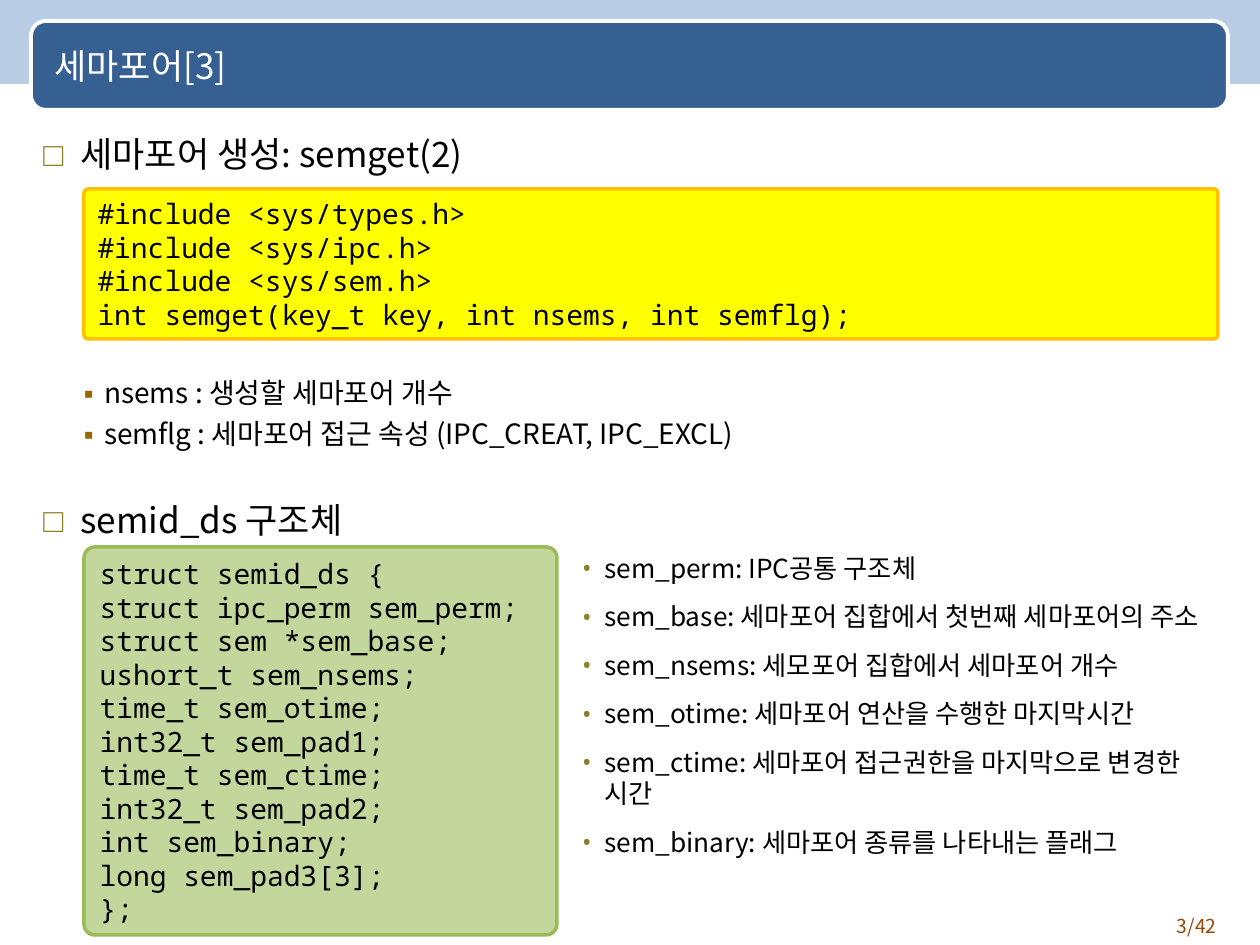
from dataclasses import dataclass
from typing import Optional

import pptx
import pptx.dml.color
import pptx.enum.shapes
import pptx.enum.text
import pptx.oxml.ns
import pptx.util
from lxml import etree

RGBColor = pptx.dml.color.RGBColor
ALIGN = pptx.enum.text.PP_ALIGN
ANCHOR = pptx.enum.text.MSO_ANCHOR
SHAPE = pptx.enum.shapes.MSO_SHAPE

EMU_PER_PX = 914400 / 126
SANS = "Noto Sans CJK KR"
MONO = "Noto Sans Mono"

WHITE = RGBColor(0xFF, 0xFF, 0xFF)
BLACK = RGBColor(0x00, 0x00, 0x00)
BAND_BLUE = RGBColor(0xB9, 0xCD, 0xE5)
TITLE_BLUE = RGBColor(0x37, 0x60, 0x92)
PAGE_BROWN = RGBColor(0x98, 0x48, 0x07)
OLIVE = RGBColor(0x88, 0x81, 0x28)
OCHRE = RGBColor(0x99, 0x66, 0x00)
YELLOW = RGBColor(0xFF, 0xFF, 0x00)
AMBER = RGBColor(0xFF, 0xC0, 0x00)
LIGHT_GREEN = RGBColor(0xC3, 0xD6, 0x9B)
GREEN = RGBColor(0x9B, 0xBB, 0x59)


@dataclass(frozen=True)
class Box:
    x: int
    y: int
    w: int
    h: int

    def emu(self) -> list[int]:
        return [px(v) for v in (self.x, self.y, self.w, self.h)]


@dataclass(frozen=True)
class Bullet:
    char: str
    color: RGBColor
    percent: int
    left: int
    hang: int


@dataclass(frozen=True)
class Level:
    size: int
    line: float
    bullet: Bullet
    before: float
    after: float = 0


@dataclass(frozen=True)
class Item:
    text: str
    level: Level
    before: Optional[float] = None


@dataclass(frozen=True)
class CodePanel:
    box: Box
    fill: RGBColor
    border: RGBColor
    align: ALIGN
    code: str


HEADING = Level(20, 26, Bullet("□", OLIVE, 95, 37, 37), before=5, after=6)
DETAIL = Level(16, 19.5, Bullet("▪", OCHRE, 100, 61, 24), before=4)
MEMBER = Level(15, 18, Bullet("•", OLIVE, 95, 25, 25), before=3.7, after=6)

BODY = [
    Item("세마포어 생성: semget(2)", HEADING),
    Item("nsems : 생성할 세마포어 개수", DETAIL, before=108.5),
    Item("semflg : 세마포어 접근 속성 (IPC_CREAT, IPC_EXCL)", DETAIL),
    Item("semid_ds 구조체", HEADING, before=25.5),
]
MEMBERS = [
    Item(text, MEMBER)
    for text in (
        "sem_perm: IPC공통 구조체",
        "sem_base: 세마포어 집합에서 첫번째 세마포어의 주소",
        "sem_nsems: 세모포어 집합에서 세마포어 개수",
        "sem_otime: 세마포어 연산을 수행한 마지막시간",
        "sem_ctime: 세마포어 접근권한을 마지막으로 변경한 시간",
        "sem_binary: 세마포어 종류를 나타내는 플래그",
    )
]
CODE_PANELS = [
    CodePanel(Box(84, 189, 1134, 150), YELLOW, AMBER, ALIGN.JUSTIFY, """\
#include <sys/types.h>
#include <sys/ipc.h>
#include <sys/sem.h>
int semget(key_t key, int nsems, int semflg);"""),
    CodePanel(Box(84, 547, 473, 388), LIGHT_GREEN, GREEN, ALIGN.LEFT, """\
struct semid_ds {
struct ipc_perm sem_perm;
struct sem *sem_base;
ushort_t sem_nsems;
time_t sem_otime;
int32_t sem_pad1;
time_t sem_ctime;
int32_t sem_pad2;
int sem_binary;
long sem_pad3[3];
};"""),
]


def px(n: int) -> int:
    return round(n * EMU_PER_PX)


def add_panel(slide, kind, box: Box, fill: RGBColor, border: Optional[RGBColor] = None,
              border_pt: float = 2, radius: Optional[float] = None):
    s = slide.shapes.add_shape(kind, *box.emu())
    s.shadow.inherit = False
    s.fill.solid()
    s.fill.fore_color.rgb = fill
    if border is None:
        s.line.fill.background()
    else:
        s.line.color.rgb = border
        s.line.width = pptx.util.Pt(border_pt)
    if radius is not None:
        s.adjustments[0] = radius
    return s


def add_text_box(slide, box: Box, anchor=ANCHOR.TOP):
    tf = slide.shapes.add_textbox(*box.emu()).text_frame
    tf.word_wrap = True
    tf.vertical_anchor = anchor
    return tf


def set_bullet(p, bullet: Bullet) -> None:
    qn = pptx.oxml.ns.qn
    pPr = p._p.get_or_add_pPr()
    pPr.set("marL", str(px(bullet.left)))
    pPr.set("indent", str(-px(bullet.hang)))
    color = etree.SubElement(pPr, qn("a:buClr"))
    etree.SubElement(color, qn("a:srgbClr"), val=str(bullet.color))
    etree.SubElement(pPr, qn("a:buSzPct"), val=str(bullet.percent * 1000))
    etree.SubElement(pPr, qn("a:buFont"), typeface=MONO)
    etree.SubElement(pPr, qn("a:buChar"), char=bullet.char)


def write(tf, text: str, *, size: float, color: RGBColor = BLACK, font: str = SANS,
          align=ALIGN.LEFT, line: Optional[float] = None, before: float = 0,
          after: float = 0, bullet: Optional[Bullet] = None) -> None:
    """Append one paragraph without pair kerning, filling the empty first one if any."""
    first = not tf.paragraphs[0].runs
    p = tf.paragraphs[0] if first else tf.add_paragraph()
    if bullet:
        set_bullet(p, bullet)
    p.alignment = align
    if line:
        p.line_spacing = pptx.util.Pt(line)
    p.space_before = pptx.util.Pt(0 if first else before)
    p.space_after = pptx.util.Pt(after)
    r = p.add_run()
    r.text = text
    r.font.size = pptx.util.Pt(size)
    r.font.color.rgb = color
    r.font.name = font
    rPr = r._r.get_or_add_rPr()
    rPr.set("kern", "0")
    etree.SubElement(rPr, pptx.oxml.ns.qn("a:ea"), typeface=font)


def add_list(slide, box: Box, items: list[Item]) -> None:
    tf = add_text_box(slide, box)
    for item in items:
        level = item.level
        write(tf, item.text, size=level.size, line=level.line, bullet=level.bullet,
              before=level.before if item.before is None else item.before,
              after=level.after)


def add_code(slide, panel: CodePanel) -> None:
    s = add_panel(slide, SHAPE.ROUNDED_RECTANGLE, panel.box, panel.fill, panel.border,
                  radius=0.028)
    tf = s.text_frame
    tf.vertical_anchor = ANCHOR.MIDDLE
    for code_line in panel.code.splitlines():
        write(tf, code_line, size=16, font=MONO, line=19.15, align=panel.align)


def main() -> None:
    prs = pptx.Presentation()
    prs.slide_width, prs.slide_height = px(1260), px(945)
    slide = prs.slides.add_slide(prs.slide_layouts[6])

    add_panel(slide, SHAPE.RECTANGLE, Box(0, 0, 1260, 84), BAND_BLUE)
    add_panel(slide, SHAPE.ROUNDED_RECTANGLE, Box(31, 21, 1197, 89), TITLE_BLUE, WHITE,
              border_pt=2.25, radius=0.167)
    write(add_text_box(slide, Box(1124, 908, 105, 37)), "3/42", size=11,
          color=PAGE_BROWN, align=ALIGN.RIGHT)
    write(add_text_box(slide, Box(42, 23, 1166, 84), ANCHOR.MIDDLE), "세마포어[3]",
          size=20, color=WHITE)
    add_list(slide, Box(31, 123, 1197, 788), BODY)
    for panel in CODE_PANELS:
        add_code(slide, panel)
    add_list(slide, Box(567, 546, 646, 378), MEMBERS)
    prs.save("out.pptx")


if __name__ == "__main__":
    main()
